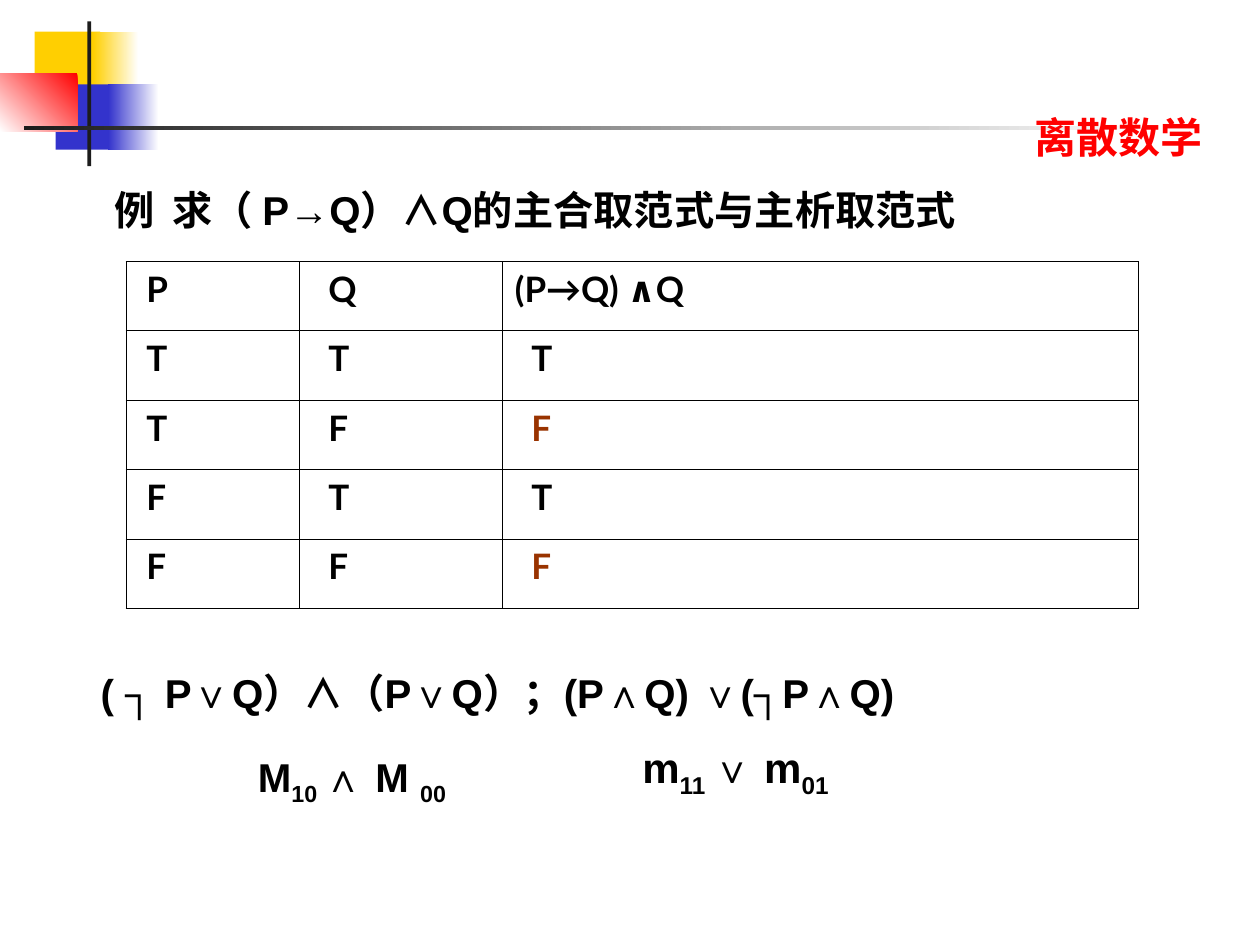
from lxml.etree import SubElement
from pptx import Presentation
from pptx.dml.color import RGBColor
from pptx.enum.shapes import MSO_SHAPE as Shape
from pptx.enum.text import MSO_ANCHOR as Anchor, PP_ALIGN as Align
from pptx.oxml.ns import qn
from pptx.util import Cm, Pt

COLORS = {
    "yellow": "FFCF01", "blue": "3333CC", "red": "FF0000", "dark": "1C1C1C",
    "white": "FFFFFF", "black": "000000", "brown": "993300",
}

# Decoration: box in cm, gradient start and end (or one colour), angle
DECORATION = [
    ((0.7, 0.64, 1.32, 1.32), ["yellow"], 0),
    ((1.88, 0.64, 0.91, 1.32), ["white", "yellow"], 180),
    ((1.12, 1.7, 1.17, 1.32), ["blue"], 0),
    ((2.18, 1.7, 1.02, 1.32), ["white", "blue"], 180),
    ((0, 1.48, 1.56, 1.17), ["red", "white"], 225),
    ((1.76, 0.43, 0.08, 2.92), ["dark"], 0),
    ((0.49, 2.54, 22.86, 0.08), ["white", "dark"], 180),
]

# Texts: box in cm, font, colour, alignment, runs of (text, size, is subscript)
TEXTS = [
    ((20.6, 2.13, 4.6, 1.27), "Lato", "red", Align.LEFT,
     [("离散数学", 24, False)]),
    ((12.7, 14.83, 4.6, 1.42), "Arial", "black", Align.JUSTIFY,
     [("m", 24, False), ("11 ", 24, True), ("∨", 23, False),
      (" m", 24, False), ("01", 24, True)]),
    ((2.06, 3.61, 19.5, 1.24), "Arial", "black", Align.LEFT,
     [("例\t求（ P→Q）∧Q的主合取范式与主析取范式", 23, False)]),
    ((1.78, 13.34, 18.5, 1.24), "Arial", "black", Align.LEFT,
     [("( ┐ P∨Q）∧（P∨Q）；(P∧Q) ∨(┐P∧Q)", 23, False)]),
    ((4.95, 15.04, 5.5, 1.37), "Arial", "black", Align.LEFT,
     [("M", 23, False), ("10 ", 23, True), ("∧ M ", 23, False), ("00", 23, True)]),
]
EXAMPLE_TAB = Cm(1.17)

# Truth table
TRUTH_TABLE = [
    ["P", "Q", "(P→Q) ∧Q"],
    ["T", "T", "T"],
    ["T", "F", "F"],
    ["F", "T", "T"],
    ["F", "F", "F"],
]
TABLE_LEFT, TABLE_TOP, ROW_HEIGHT = 2.54, 5.27, 1.4
COLUMN_WIDTHS = [3.5, 4.09, 12.81]
COLUMN_INDENTS = [0.41, 0.58, 0.58]
HEADER_INDENTS = [0.41, 0.58, 0.25]
BORDER_WIDTH = Pt(0.45)


def rgb(name):
    return RGBColor.from_string(COLORS[name])


def style(run, font, size, color):
    run.font.name = font
    run.font.size = Pt(size)
    run.font.bold = True
    run.font.color.rgb = rgb(color)


def add_block(slide, box, colors, angle):
    shape = slide.shapes.add_shape(Shape.RECTANGLE, *map(Cm, box))
    shape.shadow.inherit = False
    shape.line.fill.background()
    if len(colors) == 1:
        shape.fill.solid()
        shape.fill.fore_color.rgb = rgb(colors[0])
        return
    shape.fill.gradient()
    shape.fill.gradient_angle = angle
    for stop, color in zip(shape.fill.gradient_stops, colors):
        stop.color.rgb = rgb(color)


def add_text(slide, box, font, color, alignment, runs):
    text_frame = slide.shapes.add_textbox(*map(Cm, box)).text_frame
    text_frame.word_wrap = True
    paragraph = text_frame.paragraphs[0]
    paragraph.alignment = alignment
    if "\t" in runs[0][0]:
        tabs = SubElement(paragraph._p.get_or_add_pPr(), qn("a:tabLst"))
        SubElement(tabs, qn("a:tab"), pos=str(EXAMPLE_TAB), algn="l")
    for text, size, subscript in runs:
        run = paragraph.add_run()
        run.text = text
        style(run, font, size, color)
        if subscript:
            run._r.get_or_add_rPr().set("baseline", "-25000")


def add_borders(cell):
    properties = cell._tc.get_or_add_tcPr()
    for side in ("lnL", "lnR", "lnT", "lnB"):
        line = SubElement(properties, qn(f"a:{side}"), w=str(BORDER_WIDTH))
        fill = SubElement(line, qn("a:solidFill"))
        SubElement(fill, qn("a:srgbClr"), val=COLORS["black"])


def add_truth_table(slide):
    rows, columns = len(TRUTH_TABLE), len(COLUMN_WIDTHS)
    table = slide.shapes.add_table(
        rows, columns, Cm(TABLE_LEFT), Cm(TABLE_TOP),
        Cm(sum(COLUMN_WIDTHS)), Cm(rows * ROW_HEIGHT)).table
    for column, width in zip(table.columns, COLUMN_WIDTHS):
        column.width = Cm(width)
    for i, values in enumerate(TRUTH_TABLE):
        table.rows[i].height = Cm(ROW_HEIGHT)
        indents = COLUMN_INDENTS if i else HEADER_INDENTS
        for j, value in enumerate(values):
            cell = table.cell(i, j)
            cell.text_frame.text = value
            cell.margin_left = Cm(indents[j])
            cell.vertical_anchor = Anchor.TOP
            false_result = j == columns - 1 and value == "F"
            style(cell.text_frame.paragraphs[0].runs[0], "Lato", 20,
                  "brown" if false_result else "black")
            add_borders(cell)
            cell.fill.solid()
            cell.fill.fore_color.rgb = rgb("white")


def main():
    presentation = Presentation()
    presentation.slide_width, presentation.slide_height = Cm(25.4), Cm(19.05)
    slide = presentation.slides.add_slide(presentation.slide_layouts[6])
    for block in DECORATION:
        add_block(slide, *block)
    add_truth_table(slide)
    for text in TEXTS:
        add_text(slide, *text)
    presentation.save("out.pptx")


if __name__ == "__main__":
    main()
